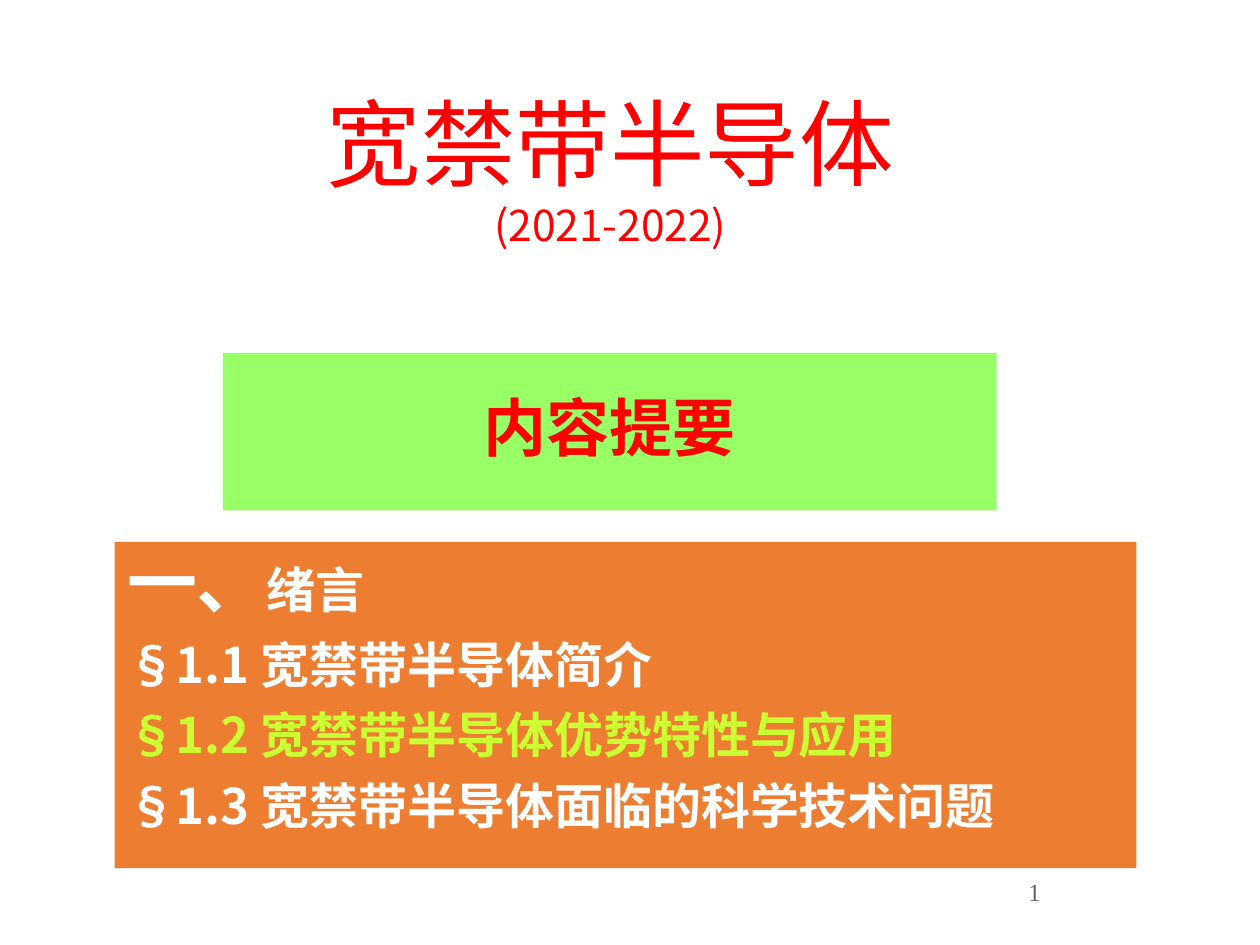
from lxml import etree
from pptx import Presentation
from pptx.dml.color import RGBColor
from pptx.enum.shapes import MSO_SHAPE
from pptx.enum.text import MSO_ANCHOR, PP_ALIGN
from pptx.oxml.ns import qn
from pptx.util import Inches, Pt

RECT = MSO_SHAPE.RECTANGLE
TOP, MID, BASE = MSO_ANCHOR.TOP, MSO_ANCHOR.MIDDLE, MSO_ANCHOR.BOTTOM
LEFT, MIDDLE = PP_ALIGN.LEFT, PP_ALIGN.CENTER
SANS, SERIF = "Noto Sans CJK SC", "Times New Roman"
HUES = {"red": "FF0000", "green": "99FF66", "orange": "ED7D31",
        "white": "FFFFFF", "lime": "CCFF33", "gray": "636363"}


def add_box(area, anchor, fill=None):
    spot = [Inches(n) for n in area]
    if fill:
        shape = slide.shapes.add_shape(RECT, *spot)
        shape.shadow.inherit = False
        shape.fill.solid()
        shape.fill.fore_color.rgb = RGBColor.from_string(HUES[fill])
        shape.line.fill.background()
    else:
        shape = slide.shapes.add_textbox(*spot)
    frame = shape.text_frame
    frame.word_wrap = True
    frame.vertical_anchor = anchor
    return frame


def add_run(para, text, size, hue, bold=False, face=SANS):
    run = para.add_run()
    run.text = text
    style = {"size": Pt(size), "bold": bold, "name": face}
    for key, value in style.items():
        setattr(run.font, key, value)
    run.font.color.rgb = RGBColor.from_string(HUES[hue])
    east = etree.SubElement(run.font._element, qn("a:ea"))
    east.set("typeface", face)


deck = Presentation()
deck.slide_width, deck.slide_height = Inches(10), Inches(7.5)
slide = deck.slides.add_slide(deck.slide_layouts[6])

para = add_box((1.77, 2.8, 6.14, 1.25), MID, "green").paragraphs[0]
para.alignment = MIDDLE
para.line_spacing = 0.9
add_run(para, "内容提要", 36, "red", True)

frame = add_box((0.91, 4.3, 8.11, 2.59), TOP, "orange")
para = frame.paragraphs[0]
para.alignment = LEFT
para.line_spacing = 0.9
add_run(para, "一、", 40, "white", True)
add_run(para, "绪言", 28, "white", True)

topics = [("§1.1 宽禁带半导体简介", "white"),
          ("§1.2 宽禁带半导体优势特性与应用", "lime"),
          ("§1.3 宽禁带半导体面临的科学技术问题", "white")]
for text, hue in topics:
    para = frame.add_paragraph()
    para.alignment = LEFT
    para.line_spacing = 0.9
    para.space_before = Pt(10)
    add_run(para, text, 28, hue, True)

frame = add_box((7.17, 6.83, 2.08, 0.5), MID)
for side in ("left", "right", "top", "bottom"):
    setattr(frame, f"margin_{side}", Inches(0.05))
para = frame.paragraphs[0]
para.alignment = MIDDLE
add_run(para, "1", 14, "gray", face=SERIF)

para = add_box((2.01, 0.53, 5.67, 1.5), BASE).paragraphs[0]
para.alignment = MIDDLE
add_run(para, "宽禁带半导体", 54, "red")
para.add_line_break()
add_run(para, "(2021-2022)", 24.3, "red")

deck.save("out.pptx")
